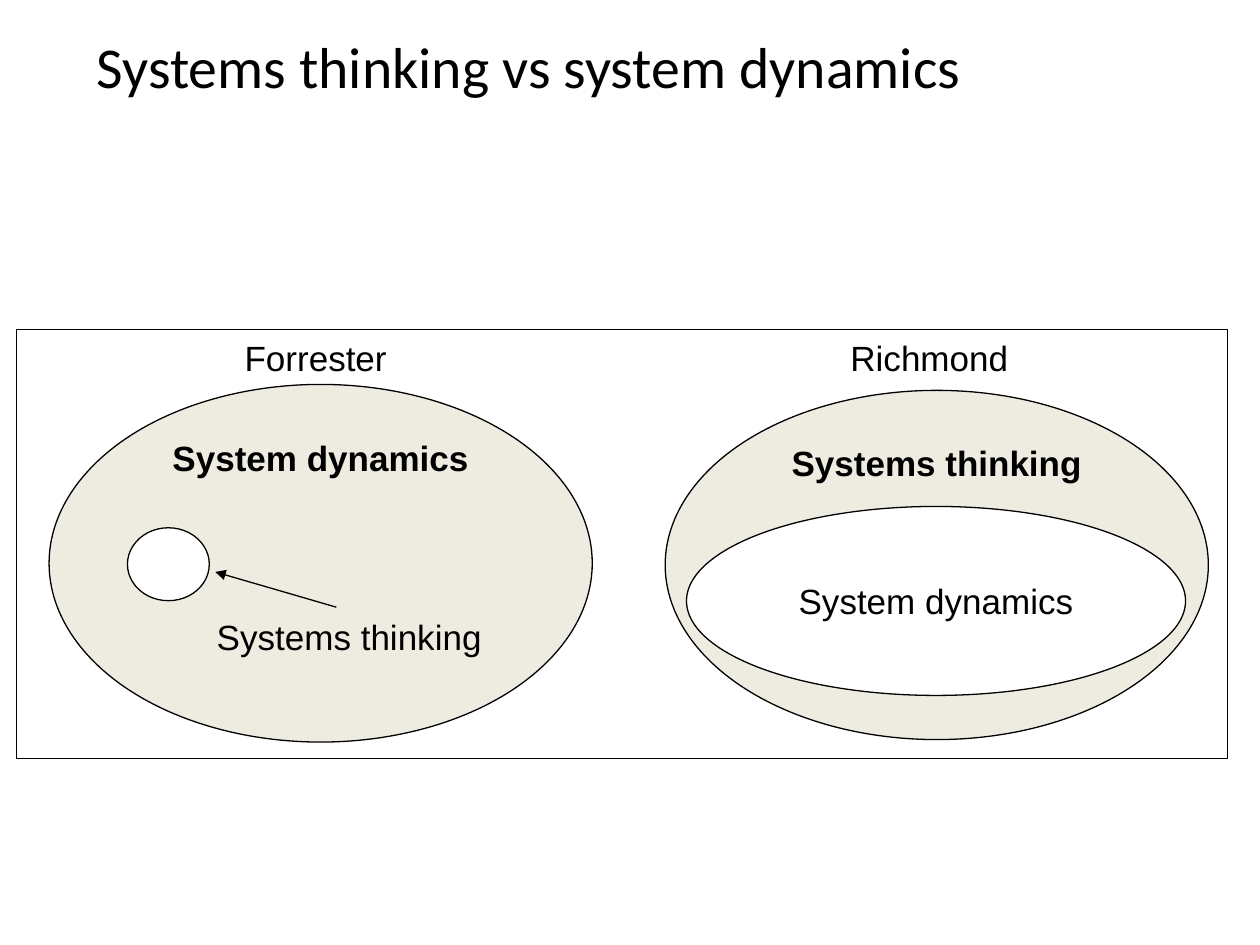
import pptx
import pptx.util
import pptx.dml.color
import pptx.enum.shapes
import pptx.enum.text
import pptx.oxml.ns
from dataclasses import dataclass
from lxml import etree

Cm, Pt = pptx.util.Cm, pptx.util.Pt
RGB = pptx.dml.color.RGBColor
MSO_SHAPE = pptx.enum.shapes.MSO_SHAPE
PP_ALIGN = pptx.enum.text.PP_ALIGN
MSO_ANCHOR = pptx.enum.text.MSO_ANCHOR
qn = pptx.oxml.ns.qn


@dataclass(frozen=True)
class Theme:
    ink: RGB = RGB(0x00, 0x00, 0x00)
    paper: RGB = RGB(0xFF, 0xFF, 0xFF)
    sand: RGB = RGB(0xEE, 0xEC, 0xE1)
    title_font: str = "Calibri"
    body_font: str = "Arial"
    title_size: float = 33
    body_size: float = 20
    line_width: float = 0.75


theme = Theme()


def write(sp, text, font=theme.body_font, size=theme.body_size, bold=False,
          align=PP_ALIGN.CENTER, anchor=MSO_ANCHOR.TOP, inset=(0.05, 0), spacing=1.0):
    tf = sp.text_frame
    tf.word_wrap = True
    tf.vertical_anchor = anchor
    tf.margin_left = tf.margin_right = Cm(inset[0])
    tf.margin_top = tf.margin_bottom = Cm(inset[1])
    p = tf.paragraphs[0]
    p.alignment = align
    p.line_spacing = spacing
    r = p.add_run()
    r.text = text
    r.font.name = font
    r.font.size = Pt(size)
    r.font.bold = bold
    r.font.color.rgb = theme.ink


def outlined(kind, box, fill=None):
    sp = s.shapes.add_shape(kind, *map(Cm, box))
    sp.shadow.inherit = False
    if fill is None:
        sp.fill.background()
    else:
        sp.fill.solid()
        sp.fill.fore_color.rgb = fill
    sp.line.color.rgb = theme.ink
    sp.line.width = Pt(theme.line_width)
    return sp


prs = pptx.Presentation()
prs.slide_width, prs.slide_height = Cm(25.4), Cm(19.05)
s = prs.slides.add_slide(prs.slide_layouts[6])

outlined(MSO_SHAPE.RECTANGLE, (0.33, 6.65, 24.41, 8.64))

ellipses = [
    ((0.99, 7.75, 10.95, 7.21), theme.sand, "System dynamics", True, MSO_ANCHOR.TOP),
    ((2.57, 10.64, 1.65, 1.47), theme.paper, None, False, MSO_ANCHOR.TOP),
    ((13.41, 7.87, 10.95, 7.04), theme.sand, "Systems thinking", True, MSO_ANCHOR.TOP),
    ((13.84, 10.21, 10.06, 3.81), theme.paper, "System dynamics", False, MSO_ANCHOR.MIDDLE),
]
for box, fill, text, bold, anchor in ellipses:
    sp = outlined(MSO_SHAPE.OVAL, box, fill)
    if text:
        write(sp, text, bold=bold, anchor=anchor)

arrow = s.shapes.add_connector(pptx.enum.shapes.MSO_CONNECTOR.STRAIGHT,
                               Cm(6.78), Cm(12.24), Cm(4.34), Cm(11.53))
arrow.line.color.rgb = theme.ink
arrow.line.width = Pt(theme.line_width)
etree.SubElement(arrow.line._get_or_add_ln(), qn("a:tailEnd"), type="triangle")
etree.SubElement(arrow._element.spPr, qn("a:effectLst"))

labels = [
    ((4.32, 12.4, 6.3, 1.19), "Systems thinking", dict(align=PP_ALIGN.LEFT)),
    ((1.88, 6.78, 8.97, 1.12), "Forrester", {}),
    ((14.25, 6.78, 8.97, 1.12), "Richmond", {}),
    ((1.7, 0.64, 22.66, 2.74), "Systems thinking vs system dynamics",
     dict(font=theme.title_font, size=theme.title_size, align=PP_ALIGN.LEFT,
          inset=(0.25, 0.13), spacing=0.9)),
]
for box, text, style in labels:
    write(s.shapes.add_textbox(*map(Cm, box)), text, **style)

prs.save("out.pptx")
